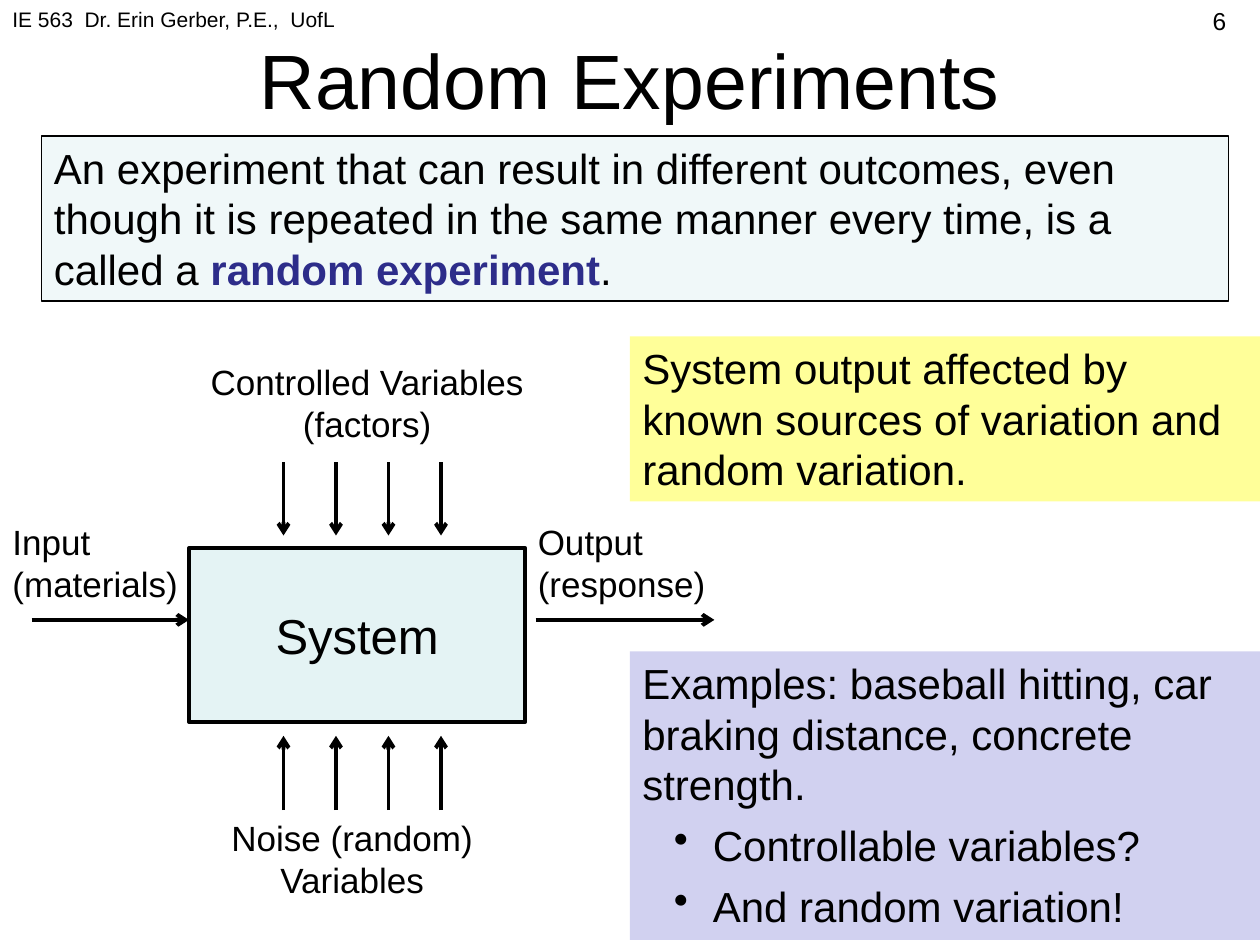
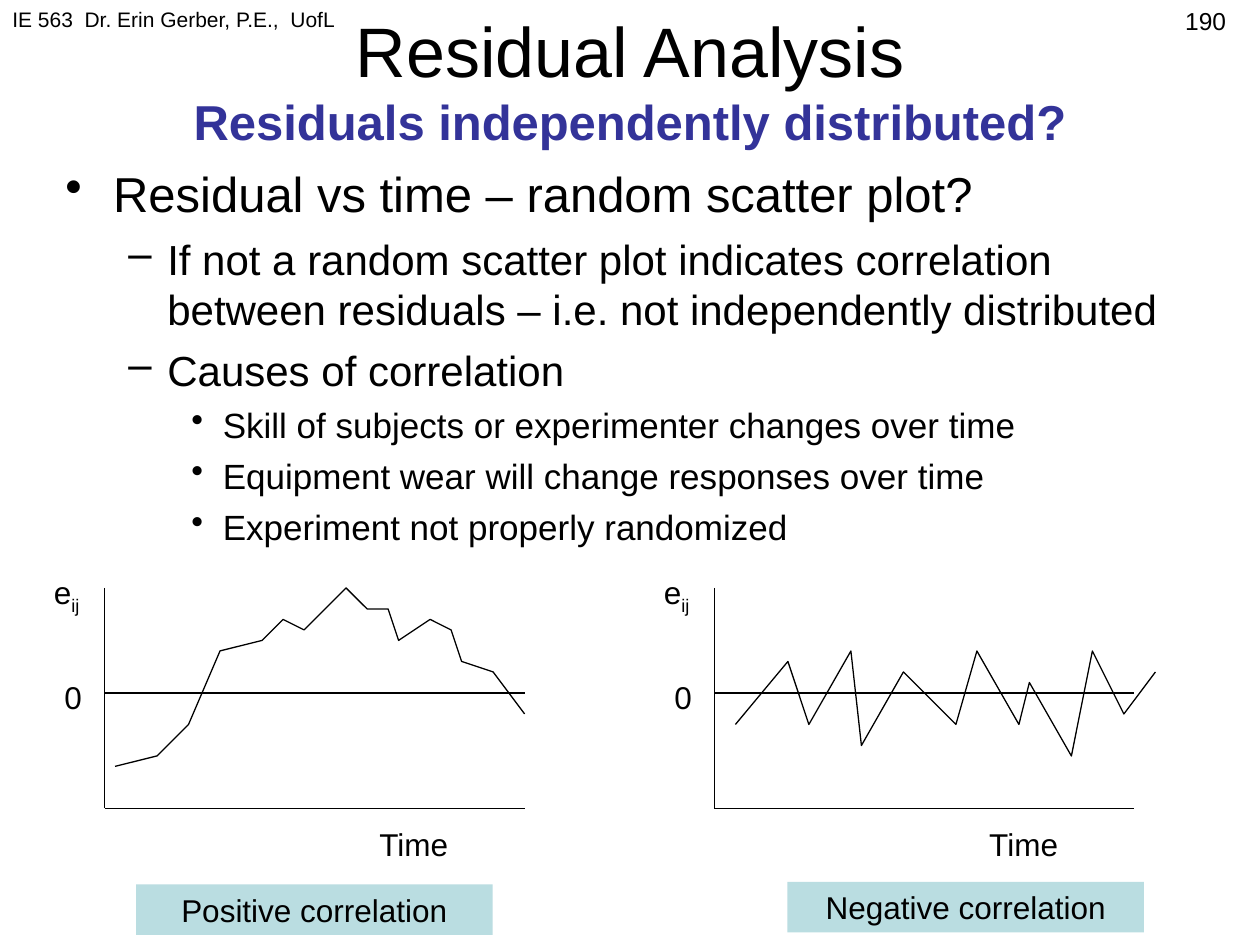
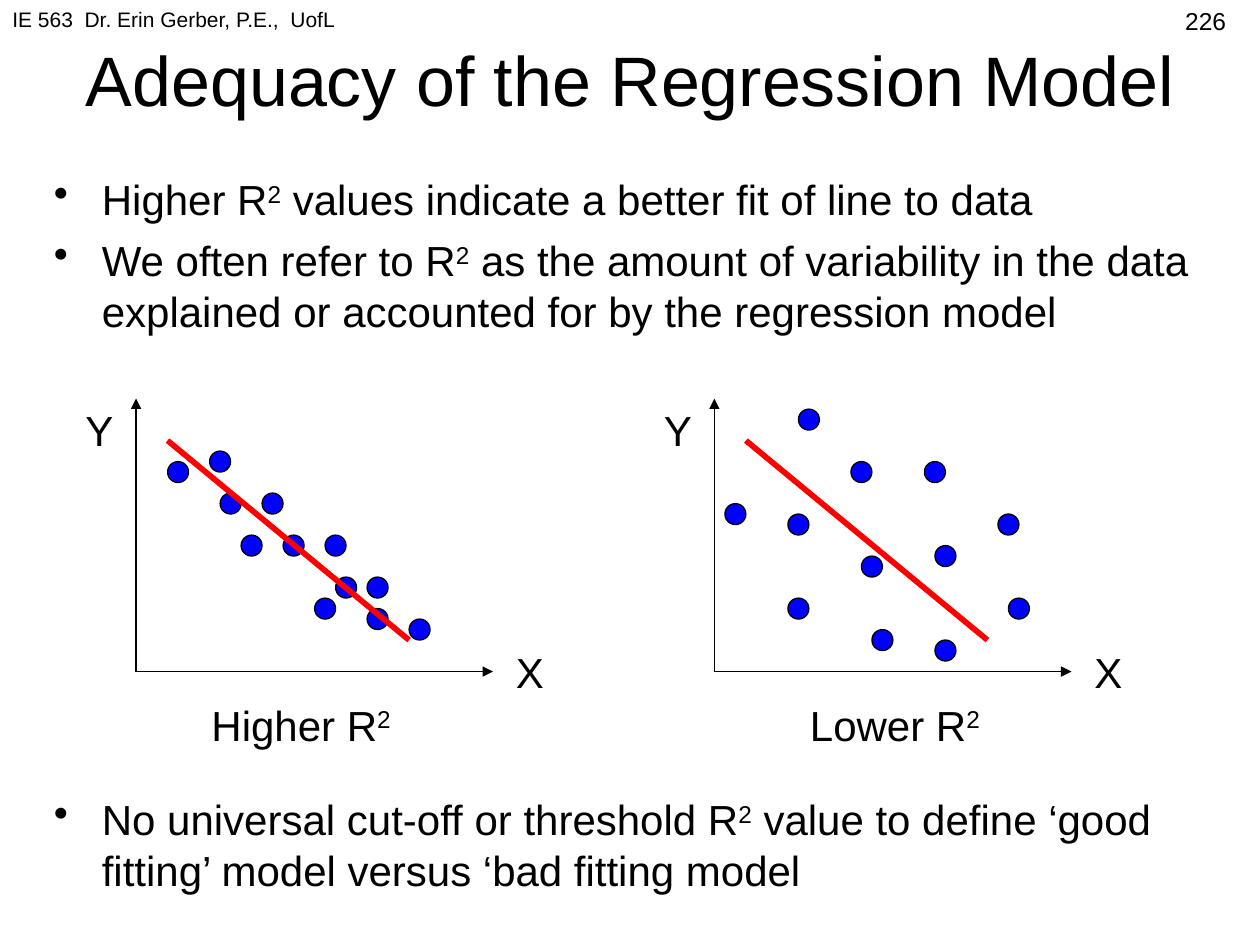
from dataclasses import dataclass

from lxml.etree import SubElement
from pptx import Presentation
from pptx.dml.color import RGBColor
from pptx.enum.shapes import MSO_CONNECTOR, MSO_SHAPE as SHAPE
from pptx.enum.text import MSO_ANCHOR as ANCHOR, PP_ALIGN as ALIGN
from pptx.oxml.ns import qn
from pptx.util import Inches, Pt

FONT = "Arial"
BLACK, INDIGO, NAVY = "000000", "333399", "2D2D8A"
AQUA, PALE_AQUA, TEAL = "E4F3F4", "F0F8F9", "BADDE1"
YELLOW, LAVENDER, BLUE, RED = "FFFF99", "D1D1F0", "0000FF", "FF0000"
COURSE = "IE 563  Dr. Erin Gerber, P.E.,  UofL"
THIN, MEDIUM, THICK = 0.75, 2.25, 3.25
STEP = 1 / 12  # plot grid, inches


@dataclass
class Run:
    text: str
    size: int = 0
    color: str = BLACK
    bold: bool = False
    baseline: int = 0


@dataclass
class Para:
    runs: list
    size: int = 0
    before: int = 0
    bullet: str = ""
    margin: float = 0
    hang: float = 0


def rgb(value):
    return RGBColor.from_string(value)


def r_squared(before, after=""):
    runs = [Run(before + "R"), Run("2", baseline=30)]
    return runs + [Run(after)] if after else runs


class Deck:
    """Holds the presentation style and the slide being filled."""

    def __init__(self):
        self.prs = Presentation()
        self.prs.slide_width, self.prs.slide_height = Inches(10), Inches(7.5)

    def start_slide(self, number, title, size=40):
        self.slide = self.prs.slides.add_slide(self.prs.slide_layouts[6])
        self.shapes = self.slide.shapes
        self.text((0, 0, 4.17, 0.52), [COURSE], 12)
        self.text((7.5, 0, 2.33, 0.52), [str(number)], 14, ALIGN.RIGHT)
        self.text((0.5, 0, 9, 1.25), [title], size, ALIGN.CENTER, ANCHOR.MIDDLE)

    def text(self, box, paragraphs, size, align=ALIGN.LEFT, anchor=ANCHOR.TOP):
        textbox = self.shapes.add_textbox(*map(Inches, box))
        self.set_text(textbox.text_frame, paragraphs, size, align, anchor)

    def panel(self, box, fill, paragraphs, size, align=ALIGN.LEFT,
              anchor=ANCHOR.TOP, outline=0):
        panel = self.filled(SHAPE.RECTANGLE, box, fill, outline)
        self.set_text(panel.text_frame, paragraphs, size, align, anchor)

    def filled(self, kind, box, fill, outline=0):
        shape = self.shapes.add_shape(kind, *map(Inches, box))
        shape.shadow.inherit = False
        shape.fill.solid()
        shape.fill.fore_color.rgb = rgb(fill)
        self.stroke(shape.line, outline)
        return shape

    def stroke(self, line, width, color=BLACK):
        if not width:
            line.fill.background()
            return
        line.fill.solid()
        line.fill.fore_color.rgb = rgb(color)
        line.width = Pt(width)

    def set_text(self, frame, paragraphs, size, align, anchor):
        """Fill a text frame; a paragraph is a string, a list of runs or a Para."""
        frame.word_wrap = True
        frame.vertical_anchor = anchor
        for index, item in enumerate(paragraphs):
            if isinstance(item, str):
                item = [Run(item)]
            para = item if isinstance(item, Para) else Para(item)
            paragraph = frame.paragraphs[0] if index == 0 else frame.add_paragraph()
            paragraph.alignment = align
            if para.bullet:
                properties = paragraph._p.get_or_add_pPr()
                properties.set("marL", str(Inches(para.margin)))
                properties.set("indent", str(-Inches(para.hang)))
                SubElement(properties, qn("a:buChar")).set("char", para.bullet)
            if index and para.before:
                paragraph.space_before = Pt(para.before)
            for part in para.runs:
                if part.text == "\n":
                    paragraph.add_line_break()
                else:
                    self.add_run(paragraph, part, part.size or para.size or size)

    def add_run(self, paragraph, part, size):
        run = paragraph.add_run()
        run.text = part.text
        run.font.name, run.font.size = FONT, Pt(size)
        run.font.bold = part.bold
        run.font.color.rgb = rgb(part.color)
        if part.baseline:
            run._r.get_or_add_rPr().set("baseline", str(part.baseline * 1000))

    def line(self, start, end, width=THIN, color=BLACK, arrow=""):
        connector = self.shapes.add_connector(
            MSO_CONNECTOR.STRAIGHT, *map(Inches, (*start, *end)))
        self.stroke(connector.line, width, color)
        properties = connector._element.spPr
        if arrow:
            SubElement(properties.find(qn("a:ln")), qn("a:tailEnd")).set("type", arrow)
        SubElement(properties, qn("a:effectLst"))

    def curve(self, points):
        start, *rest = [tuple(map(Inches, point)) for point in points]
        builder = self.shapes.build_freeform(*start)
        builder.add_line_segments(rest, close=False)
        trace = builder.convert_to_shape()
        trace.shadow.inherit = False
        trace.fill.background()
        self.stroke(trace.line, THIN)


def random_experiments(deck):
    deck.start_slide(6, [Run("Random Experiments")], 44)
    deck.panel((1.5, 4.35, 2.67, 1.38), AQUA, ["System"], 28, ALIGN.CENTER,
               ANCHOR.MIDDLE, MEDIUM)
    deck.text((0, 4.08, 1.58, 0.77), ["Input", "(materials)"], 20)
    deck.text((4.17, 4.08, 1.67, 0.77), ["Output (response)"], 20)
    deck.text((1.33, 2.81, 3.17, 0.77), ["Controlled Variables", "(factors)"],
              20, ALIGN.CENTER)
    deck.text((1.67, 6.43, 2.25, 0.77), ["Noise (random) Variables"], 20, ALIGN.CENTER)

    flows = [((0.25, 4.92), (1.5, 4.92)), ((4.25, 4.92), (5.67, 4.92))]
    for column in range(4):
        x = 2.25 + column * 5 * STEP
        flows += [((x, 3.67), (x, 4.25)), ((x, 6.43), (x, 5.84))]
    for start, end in flows:
        deck.line(start, end, MEDIUM, arrow="arrow")

    definition = [
        Run("An experiment that can result in different outcomes, even though it is "
            "repeated in the same manner every time, is a called a "),
        Run("random experiment", color=NAVY, bold=True),
        Run("."),
    ]
    deck.panel((0.33, 1.08, 9.42, 1.31), PALE_AQUA, [definition], 24, outline=THIN)
    deck.panel((5, 2.67, 5, 1.31), YELLOW,
               ["System output affected by known sources of variation and "
                "random variation."], 24)
    questions = [Para([Run(question)], before=6, bullet="•", margin=0.56, hang=0.31)
                 for question in ("Controllable variables?", "And random variation!")]
    deck.panel((5, 5.17, 5, 2.29), LAVENDER,
               ["Examples: baseball hitting, car braking distance, concrete strength.",
                *questions], 24)


def residual_plot(deck, origin, residuals):
    """Plot residuals given in grid steps right of the axis and above zero."""
    zero = 5.5

    def at(x, up):
        return origin + x * STEP, zero - up * STEP

    deck.line(at(0, 10), at(0, -11))
    for level in (-11, 0):
        deck.line(at(0, level), at(40, level))
    deck.text((*at(25, -12), 1, 0.4), ["Time"], 18)
    deck.text((*at(-6, 12), 0.67, 0.4), [[Run("e"), Run("ij", baseline=-25)]], 18)
    deck.text((*at(-5, 2), 0.58, 0.4), ["0"], 18)
    deck.curve([at(x, up) for x, up in residuals])


def residual_analysis(deck):
    deck.start_slide(190, [
        Run("Residual Analysis"), Run("\n"),
        Run("Residuals independently distributed?", 28, INDIGO, True)])
    # size, space before, bullet, margin, hanging indent
    levels = [(28, 0, "•", 0.38, 0.38), (24, 6, "–", 0.81, 0.31), (20, 5, "•", 1.25, 0.25)]
    outline = [
        (0, "Residual vs time – random scatter plot?"),
        (1, "If not a random scatter plot indicates correlation between residuals – "
            "i.e. not independently distributed"),
        (1, "Causes of correlation"),
        (2, "Skill of subjects or experimenter changes over time"),
        (2, "Equipment wear will change responses over time"),
        (2, "Experiment not properly randomized"),
    ]
    deck.text((0.42, 1.25, 9, 4.08),
              [Para([Run(words)], *levels[level]) for level, words in outline], 28)

    positive = [(1, -7), (5, -6), (8, -3), (11, 4), (15, 5), (17, 7), (19, 6), (23, 10),
                (25, 8), (27, 8), (28, 5), (31, 7), (33, 6), (34, 3), (37, 2), (40, -2)]
    negative = [(2, -3), (7, 3), (9, -3), (13, 4), (14, -5), (18, 2), (23, -3), (25, 4),
                (29, -3), (30, 1), (34, -6), (36, 4), (39, -2), (42, 2)]
    residual_plot(deck, 0.83, positive)
    residual_plot(deck, 5.67, negative)
    for x, y, sign in ((1.08, 7.02, "Positive"), (6.25, 7, "Negative")):
        deck.panel((x, y, 2.83, 0.4), TEAL, [f"{sign} correlation"], 18, ALIGN.CENTER)


def fit_plot(deck, origin, observations):
    """Scatter dots given in grid steps from the axes, with the fitted line."""
    base = 5.33

    def at(x, up):
        return origin + x * STEP, base - up * STEP

    for axis_end in ((0, 26), (34, 0)):
        deck.line(at(0, 0), at(*axis_end), arrow="triangle")
    deck.text((*at(-6, 26), 0.67, 0.5), ["Y"], 24)
    deck.text((*at(35, 3), 0.67, 0.5), ["X"], 24)
    for x, up in observations:
        deck.filled(SHAPE.OVAL, (*at(x - 1, up + 1), 2 * STEP, 2 * STEP), BLUE, THIN)
    deck.line(at(3, 22), at(26, 3), THICK, RED)


def regression_adequacy(deck):
    deck.start_slide(226, [Run("Adequacy of the Regression Model")])

    def bullet(before, after):
        return Para(r_squared(before, after), 24, 6, "•", 0.38, 0.38)

    deck.text((0.33, 1.33, 9.42, 1.5), [
        bullet("Higher ", " values indicate a better fit of line to data"),
        bullet("We often refer to ", " as the amount of variability in the data "
               "explained or accounted for by the regression model")], 24)
    deck.text((0.33, 6.25, 9.42, 1), [
        bullet("No universal cut-off or threshold ",
               " value to define ‘good fitting’ model versus ‘bad fitting model")], 24)

    tight = [(4, 19), (8, 20), (9, 16), (13, 16), (11, 12), (15, 12),
             (19, 12), (23, 8), (20, 8), (18, 6), (23, 5), (27, 4)]
    loose = [(2, 15), (9, 24), (8, 14), (14, 19), (8, 6), (15, 10),
             (21, 19), (28, 14), (22, 11), (16, 3), (22, 2), (29, 6)]
    fit_plot(deck, 1.08, tight)
    fit_plot(deck, 5.67, loose)
    for x, degree in ((1.58, "Higher "), (6.33, "Lower ")):
        deck.text((x, 5.5, 1.75, 0.5), [r_squared(degree)], 24)


def main():
    deck = Deck()
    random_experiments(deck)
    residual_analysis(deck)
    regression_adequacy(deck)
    deck.prs.save("out.pptx")


if __name__ == "__main__":
    main()
